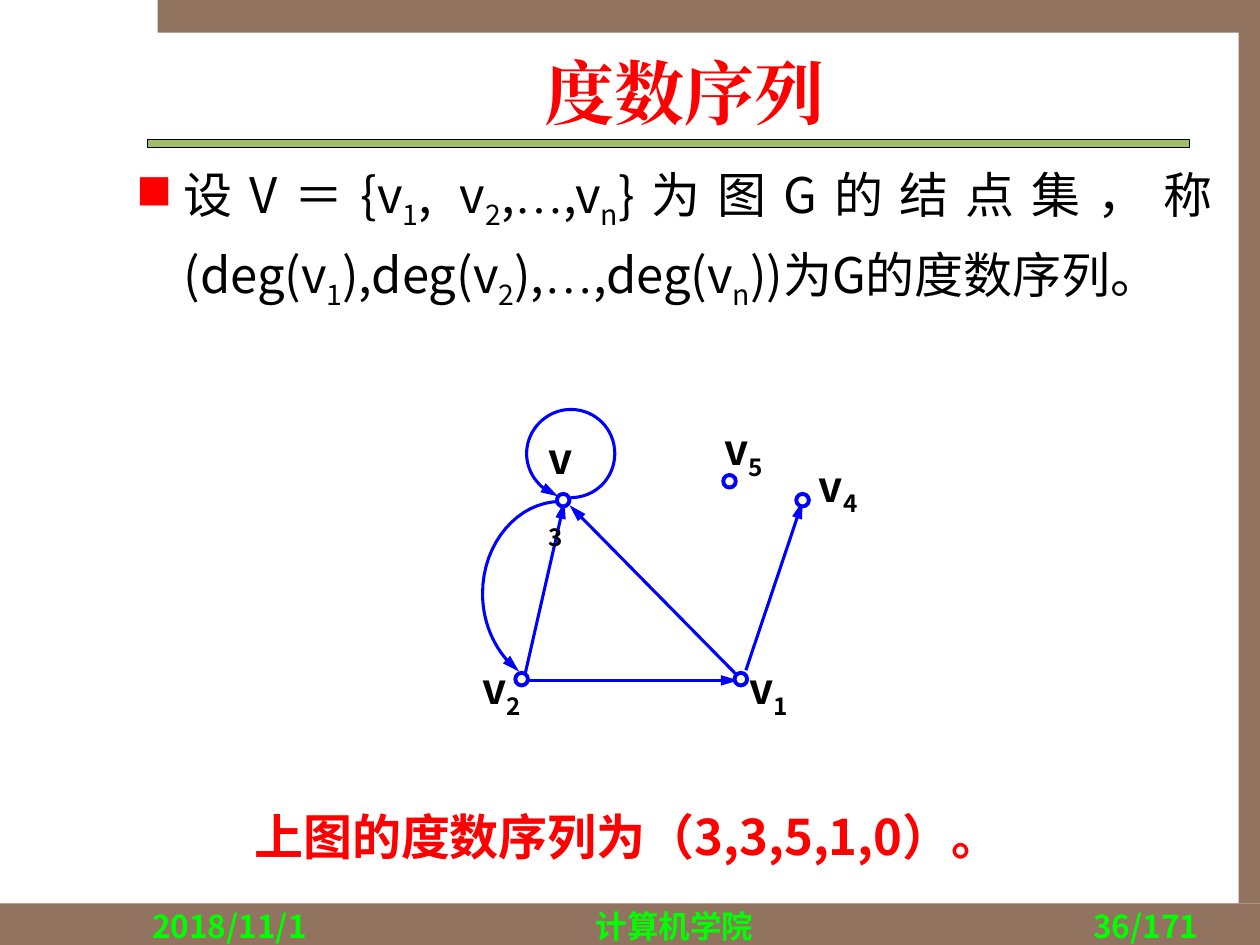
from itertools import groupby

from lxml import etree
from pptx import Presentation
from pptx import util as u
from pptx.dml.color import RGBColor
from pptx.enum import shapes, text
from pptx.oxml.ns import qn

BROWN = RGBColor(0x91, 0x73, 0x5F)
GREEN = RGBColor(0xA1, 0xBD, 0x69)
LIME = RGBColor(0x00, 0xFF, 0x00)
RED = RGBColor(0xFF, 0x00, 0x00)
BLUE = RGBColor(0x00, 0x00, 0xFF)
CREAM = RGBColor(0xFE, 0xFD, 0xE3)
BLACK = RGBColor(0x00, 0x00, 0x00)
SANS = "Noto Sans CJK SC"
SERIF = "Times New Roman"
ALIGN = text.PP_ALIGN


class SlideBuilder:
    """Draws styled elements on a page divided into 100 columns and 75 rows."""

    def __init__(self, deck):
        self.page = deck.slides.add_slide(deck.slide_layouts[6])
        self.column = deck.slide_width / 100
        self.row = deck.slide_height / 75

    def place(self, x, y):
        return u.Emu(round(x * self.column)), u.Emu(round(y * self.row))

    def shape(self, kind, x, y, width, height, fill, line=None, weight=0.75):
        item = self.page.shapes.add_shape(kind, *self.place(x, y), *self.place(width, height))
        item.shadow.inherit = False
        item.fill.solid()
        item.fill.fore_color.rgb = fill
        if line is None:
            item.line.fill.background()
        else:
            item.line.color.rgb = line
            item.line.width = u.Pt(weight)

    def bar(self, x, y, width, height, fill=BROWN, line=None):
        self.shape(shapes.MSO_SHAPE.RECTANGLE, x, y, width, height, fill, line)

    def node(self, x, y):
        self.shape(shapes.MSO_SHAPE.OVAL, x - 0.5, y - 0.5, 1, 1, CREAM, BLUE, 2.25)

    def set_font(self, font, name):
        font.name = name
        etree.SubElement(font._element, qn("a:ea"), typeface=name)

    def add_text(self, x, y, width, height, words, size, color=BLACK, bold=True, name=SANS,
                 align=ALIGN.LEFT, spacing=None, inset=(0.1, 0.05), middle=False, bullet=None):
        box = self.page.shapes.add_textbox(*self.place(x, y), *self.place(width, height))
        frame = box.text_frame
        frame.word_wrap = True
        frame.margin_left = frame.margin_right = u.Inches(inset[0])
        frame.margin_top = frame.margin_bottom = u.Inches(inset[1])
        frame.vertical_anchor = text.MSO_ANCHOR.MIDDLE if middle else text.MSO_ANCHOR.TOP
        para = frame.paragraphs[0]
        para.alignment = align
        if spacing:
            para.line_spacing = spacing
        if bullet:
            self.add_bullet(para, bullet)
        para.font.size, para.font.bold = u.Pt(size), bold
        para.font.color.rgb = color
        self.set_font(para.font, name)
        first, *rest = words.split("_")
        self.add_spans(para, first)
        for part in rest:
            span = para.add_run()
            span.text = part[0]
            span.font._element.set("baseline", "-25000")
            self.add_spans(para, part[1:])

    def add_spans(self, para, words):
        for dots, letters in groupby(words, lambda letter: letter == "…"):
            span = para.add_run()
            span.text = "".join(letters)
            if dots:
                self.set_font(span.font, SERIF)

    def add_bullet(self, para, color):
        props = para._p.get_or_add_pPr()
        indent = u.Inches(0.38)
        props.set("marL", str(int(indent)))
        props.set("indent", str(-int(indent)))
        tint = etree.SubElement(props, qn("a:buClr"))
        etree.SubElement(tint, qn("a:srgbClr"), val=str(color))
        etree.SubElement(props, qn("a:buChar"), char="■")

    def label(self, x, y, number, width=3.3):
        self.add_text(x, y, width, 4.8, f"v_{number}", 24, spacing=1.2, inset=(0, 0))

    def add_arrowhead(self, item):
        item.line.color.rgb = BLUE
        item.line.width = u.Pt(1.75)
        etree.SubElement(item.line._get_or_add_ln(), qn("a:tailEnd"),
                         type="triangle", w="med", len="lg")

    def arrow(self, start, end):
        item = self.page.shapes.add_connector(
            shapes.MSO_CONNECTOR.STRAIGHT, *self.place(*start), *self.place(*end))
        self.add_arrowhead(item)
        etree.SubElement(item._element.spPr, qn("a:effectLst"))

    def curved_arrow(self, start, *curves, steps=16):
        points = [start]
        for first, second, end in curves:
            origin = points[-1]
            for step in range(1, steps + 1):
                t = step / steps
                s = 1 - t
                points.append(tuple(
                    s**3 * a + 3 * s * s * t * b + 3 * s * t * t * c + t**3 * d
                    for a, b, c, d in zip(origin, first, second, end)))
        corners = [self.place(*point) for point in points]
        builder = self.page.shapes.build_freeform(*corners[0])
        builder.add_line_segments(corners[1:], close=False)
        item = builder.convert_to_shape()
        item.shadow.inherit = False
        item.fill.background()
        self.add_arrowhead(item)


def main():
    deck = Presentation()
    deck.slide_width, deck.slide_height = u.Inches(10), u.Inches(7.5)
    page = SlideBuilder(deck)

    page.bar(0, 71.7, 100, 3.3)
    page.bar(12.5, 0, 87.5, 2.6)
    page.bar(98.3, 2.5, 1.7, 69.2)
    page.bar(11.7, 11.1, 82.7, 0.6, GREEN, BLACK)

    for x, width, words, align in ((11.1, 20.8, "2018/11/1", ALIGN.LEFT),
                                   (31.9, 43.3, "计算机学院", ALIGN.CENTER),
                                   (75.3, 20.8, "36/171", ALIGN.RIGHT)):
        page.add_text(x, 71.5, width, 1.8, words, 18, LIME, align=align)

    page.add_text(14.2, 3.3, 80.2, 7.9, "度数序列", 40, RED, name=SERIF,
                  align=ALIGN.CENTER, middle=True)
    page.add_text(9.8, 11.5, 87.4, 12.2,
                  "设V＝{v_1, v_2,…,v_n}为图G的结点集，称"
                  "(deg(v_1),deg(v_2),…,deg(v_n))为G的度数序列。",
                  28, bold=False, align=ALIGN.JUSTIFY, spacing=1.2, bullet=RED)
    page.add_text(19.2, 62.6, 64.7, 6.6, "上图的度数序列为（3,3,5,1,0）。", 28, RED, spacing=1.2)

    page.arrow((41.5, 54), (58.6, 54))
    page.arrow((58.6, 53.7), (45.2, 40.1))
    page.arrow((41.7, 53.4), (44.8, 39.8))
    page.arrow((59.2, 53.2), (63.7, 39.8))
    page.curved_arrow((44.5, 39.8),
                      ((41.1, 39.8), (38.3, 43.1), (38.3, 47.1)),
                      ((38.3, 49.6), (39.4, 51.9), (41.2, 53.3)))
    page.curved_arrow((45.3, 39.5),
                      ((47.3, 39.5), (48.8, 37.9), (48.8, 36)),
                      ((48.8, 34.1), (47.3, 32.5), (45.3, 32.5)),
                      ((43.4, 32.5), (41.8, 34.1), (41.8, 36)),
                      ((41.8, 37.6), (42.9, 38.9), (44.3, 39.4)))

    for x, y in ((58.8, 53.9), (41.4, 53.9), (44.7, 39.7), (63.7, 39.7), (57.9, 38.2)):
        page.node(x, y)
    page.label(59.5, 51.7, 1)
    page.label(38.3, 51.7, 2)
    page.label(43.5, 33.5, 3, width=2.9)
    page.label(65, 35.6, 4)
    page.label(57.5, 32.7, 5)

    deck.save("out.pptx")


if __name__ == "__main__":
    main()
